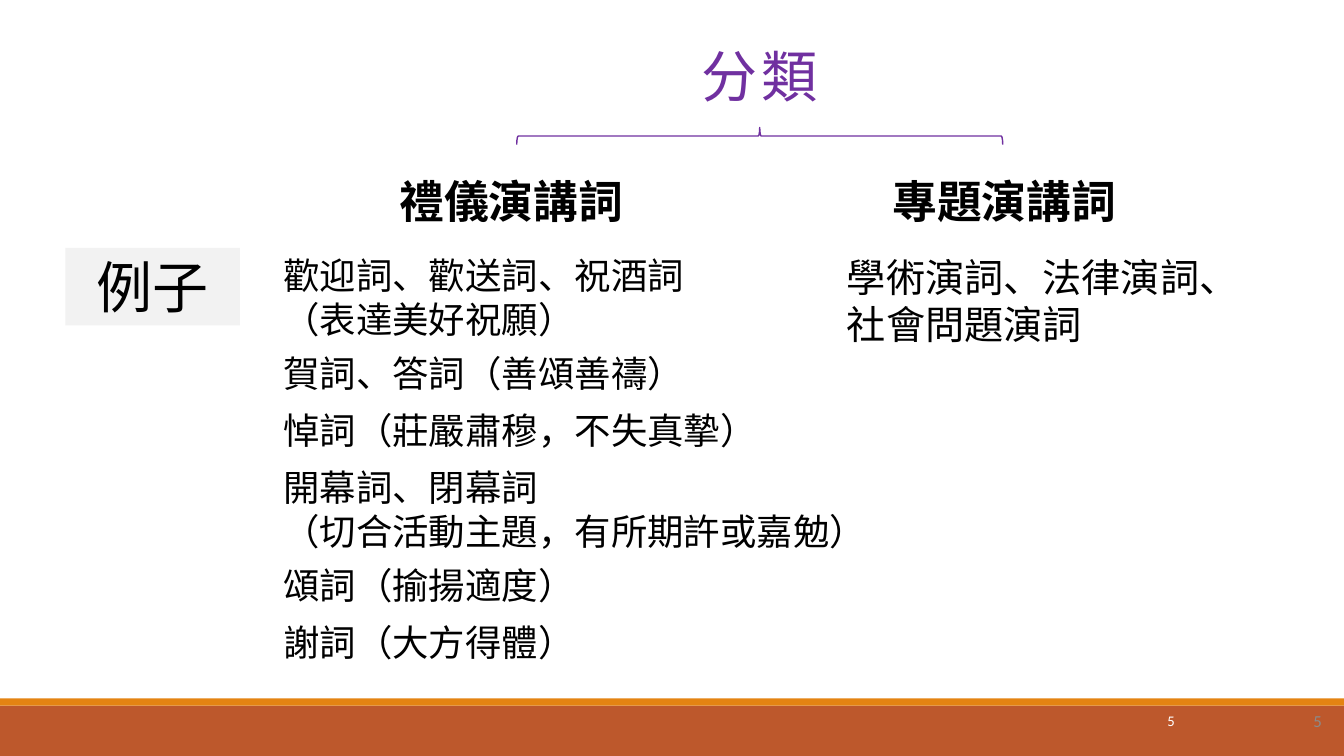
from dataclasses import dataclass

from lxml.etree import SubElement
from pptx import Presentation
from pptx.dml.color import RGBColor
from pptx.enum.shapes import MSO_SHAPE
from pptx.enum.text import MSO_ANCHOR, MSO_AUTO_SIZE, PP_ALIGN
from pptx.oxml.ns import qn
from pptx.util import Emu, Inches, Pt

WIDTH, HEIGHT = Inches(13.33), Inches(7.5)
COLUMN, ROW = WIDTH / 133.3, HEIGHT / 75

BLACK = RGBColor(0x00, 0x00, 0x00)
WHITE = RGBColor(0xFF, 0xFF, 0xFF)
GREY = RGBColor(0x8B, 0x8B, 0x8B)
PALE = RGBColor(0xF2, 0xF2, 0xF2)
PURPLE = RGBColor(0x70, 0x30, 0xA0)
RUST = RGBColor(0xBD, 0x58, 0x2C)
ORANGE = RGBColor(0xE4, 0x83, 0x12)

HAN, LATIN = "Noto Sans CJK SC", "Calibri"
COMPARISON_LAYOUT = 4


@dataclass(frozen=True)
class Area:
    column: float
    row: float
    columns: float
    rows: float

    def edges(self) -> tuple[Emu, Emu, Emu, Emu]:
        return (Emu(round(self.column * COLUMN)), Emu(round(self.row * ROW)),
                Emu(round(self.columns * COLUMN)), Emu(round(self.rows * ROW)))


@dataclass(frozen=True)
class Line:
    text: str
    space_before: float = 0


@dataclass(frozen=True)
class Category:
    heading: str
    heading_area: Area
    examples: tuple[Line, ...]
    examples_area: Area
    size: float
    heading_idx: int
    examples_idx: int


@dataclass(frozen=True)
class Band:
    area: Area
    fill: RGBColor


@dataclass(frozen=True)
class PageNumber:
    area: Area
    size: float
    color: RGBColor


BANDS = (
    Band(Area(0, 70, 133.3, 5), RUST),
    Band(Area(0, 69.3, 133.3, 0.7), ORANGE),
)
PAGE_NUMBERS = (
    PageNumber(Area(87.5, 69.5, 30, 4), 10.5, WHITE),
    PageNumber(Area(102.1, 69.5, 30, 4), 12, GREY),
)
CATEGORIES = (
    Category("禮儀演講詞", Area(38.6, 16.7, 29.4, 6.4), (
        Line("歡迎詞、歡送詞、祝酒詞"),
        Line("（表達美好祝願）"),
        Line("賀詞、答詞（善頌善禱）", 7.5),
        Line("悼詞（莊嚴肅穆，不失真摯）", 9.7),
        Line("開幕詞、閉幕詞", 9.7),
        Line("（切合活動主題，有所期許或嘉勉）"),
        Line("頌詞（揄揚適度）", 7.5),
        Line("謝詞（大方得體）", 9.7),
    ), Area(27.1, 24.6, 60.4, 42.2), 26, 1, 2),
    Category("專題演講詞", Area(87.5, 16.7, 29.4, 6.4), (
        Line("學術演詞、法律演詞、社會問題演詞"),
    ), Area(83, 24.6, 39, 10.4), 28, 3, 4),
)


def place(shape, area: Area) -> None:
    shape.left, shape.top, shape.width, shape.height = area.edges()


def write(shape, lines: tuple[Line, ...], *, size: float, color: RGBColor = BLACK,
          font: str = HAN, bold: bool = False, align=PP_ALIGN.LEFT,
          anchor=MSO_ANCHOR.TOP, line_spacing: float = 1,
          tracking: float = 0) -> None:
    frame = shape.text_frame
    frame.word_wrap = True
    frame.auto_size = MSO_AUTO_SIZE.NONE
    frame.vertical_anchor = anchor
    for position, line in enumerate(lines):
        paragraph = frame.add_paragraph() if position else frame.paragraphs[0]
        paragraph.alignment = align
        paragraph.line_spacing = line_spacing
        paragraph.space_before = Pt(line.space_before)
        paragraph.space_after = Pt(0)
        properties = paragraph._p.get_or_add_pPr()
        properties.set("marL", "0")
        properties.set("indent", "0")
        SubElement(properties, qn("a:buNone"))
        run = paragraph.add_run()
        run.text = line.text
        run.font.size = Pt(size)
        run.font.bold = bold
        run.font.color.rgb = color
        run.font.name = font
        character = run._r.get_or_add_rPr()
        character.set("spc", str(round(tracking * 100)))
        SubElement(character, qn("a:ea")).set("typeface", font)


def add_block(slide, area: Area, fill: RGBColor):
    block = slide.shapes.add_shape(MSO_SHAPE.RECTANGLE, *area.edges())
    block.shadow.inherit = False
    block.fill.solid()
    block.fill.fore_color.rgb = fill
    block.line.fill.background()
    return block


def add_brace(slide, area: Area) -> None:
    brace = slide.shapes.add_shape(MSO_SHAPE.LEFT_BRACE, *area.edges())
    brace.rotation = 90
    brace.shadow.inherit = False
    brace.fill.background()
    brace.line.color.rgb = PURPLE
    brace.line.width = Pt(1)


def fill_category(slide, category: Category) -> None:
    heading = slide.placeholders[category.heading_idx]
    place(heading, category.heading_area)
    write(heading, (Line(category.heading),), size=32, bold=True)
    examples = slide.placeholders[category.examples_idx]
    place(examples, category.examples_area)
    write(examples, category.examples, size=category.size)


def main() -> None:
    presentation = Presentation()
    presentation.slide_width, presentation.slide_height = WIDTH, HEIGHT
    slide = presentation.slides.add_slide(presentation.slide_layouts[COMPARISON_LAYOUT])

    for band in BANDS:
        add_block(slide, band.area, band.fill)
    for number in PAGE_NUMBERS:
        page_number = slide.shapes.add_textbox(*number.area.edges())
        write(page_number, (Line("5"),), size=number.size, color=number.color,
              font=LATIN, align=PP_ALIGN.RIGHT, anchor=MSO_ANCHOR.MIDDLE)

    classification = slide.shapes.title
    place(classification, Area(62.5, 3.9, 25.7, 7.5))
    write(classification, (Line("分類"),), size=40, color=PURPLE,
          align=PP_ALIGN.CENTER, anchor=MSO_ANCHOR.BOTTOM,
          line_spacing=0.9, tracking=3)
    add_brace(slide, Area(74.5, -10.6, 1.7, 48.2))

    for category in CATEGORIES:
        fill_category(slide, category)
    examples_label = add_block(slide, Area(6.5, 24.6, 17.3, 7.7), PALE)
    write(examples_label, (Line("例子"),), size=40, align=PP_ALIGN.CENTER)

    presentation.save("out.pptx")


if __name__ == "__main__":
    main()
